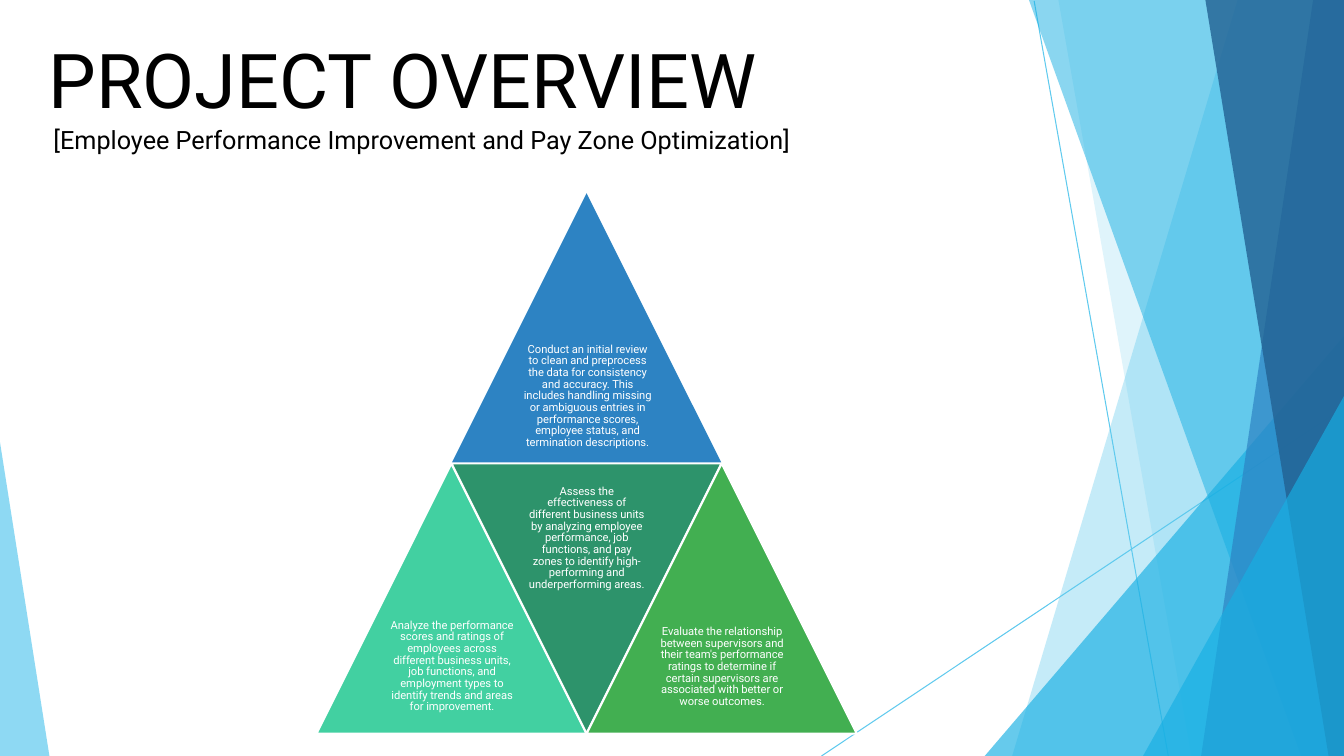
from dataclasses import dataclass

import lxml.etree
import pptx
import pptx.dml.color
import pptx.enum.shapes
import pptx.enum.text
import pptx.oxml
import pptx.oxml.ns
import pptx.util

Pt = pptx.util.Pt
Point = tuple[float, float]


@dataclass(frozen=True)
class Theme:
    font: str = "Roboto"
    title_size: float = 54
    subtitle_size: float = 18
    body_size: float = 8
    ink: str = "000000"
    white: str = "FFFFFF"
    sky: str = "5FCAEE"
    cyan: str = "17AFE3"
    blue: str = "2D83C3"
    navy: str = "226192"
    mint: str = "42D0A1"
    teal: str = "2D936B"
    green: str = "42AF51"


@dataclass(frozen=True)
class Polygon:
    corners: list[Point]
    color: str
    opacity: int = 100
    outline: str | None = None


@dataclass(frozen=True)
class Line:
    start: Point
    end: Point


@dataclass(frozen=True)
class Paragraph:
    text: str
    size: float
    color: str
    line_spacing: float | pptx.util.Length
    space_before: float = 0
    indent: float = 0
    tracking: float = 0
    align: pptx.enum.text.PP_ALIGN = pptx.enum.text.PP_ALIGN.LEFT


@dataclass(frozen=True)
class Step:
    left: float
    top: float
    width: float
    height: float
    text: str


THEME = Theme()
WIDTH, HEIGHT = 960, 540

# Background ribbons, back to front
RAYS = [Line((738.7, 0.7), (834.5, HEIGHT)), Line((WIDTH, 290.9), (586.8, HEIGHT))]


def ribbon(top_x: float, bottom_x: float, color: str, opacity: int, top: float = 0) -> Polygon:
    """A band reaching from a slanted left edge to the right slide edge."""
    corners = [(WIDTH, top), (top_x, top), (bottom_x, HEIGHT), (WIDTH, HEIGHT)]
    return Polygon(corners, color, opacity)


RIBBONS = [
    ribbon(884, 723, THEME.sky, 36),
    ribbon(756, 851, THEME.sky, 20),
    ribbon(WIDTH, 703.4, THEME.cyan, 66, top=240),
    ribbon(735, 929.5, THEME.cyan, 50),
    ribbon(938, 858, THEME.blue, 70),
    ribbon(861, 949, THEME.navy, 80),
    ribbon(WIDTH, 816.5, THEME.cyan, 66, top=283),
    Polygon([(0, 316), (0, HEIGHT), (35.3, HEIGHT)], THEME.sky, 70),
]

# Pyramid of four equal triangles
CENTER, APEX, SIDE = 419, 138, 193


def triangle(x: float, tip: float, base: float, color: str, outline: str | None) -> Polygon:
    corners = [(x, tip), (x - SIDE / 2, base), (x + SIDE / 2, base)]
    return Polygon(corners, color, outline=outline)


MIDDLE, BOTTOM = APEX + SIDE, APEX + 2 * SIDE
PYRAMID = [
    triangle(CENTER, APEX, MIDDLE, THEME.blue, None),
    triangle(CENTER - SIDE / 2, MIDDLE, BOTTOM, THEME.mint, THEME.white),
    triangle(CENTER, BOTTOM, MIDDLE, THEME.teal, THEME.white),
    triangle(CENTER + SIDE / 2, MIDDLE, BOTTOM, THEME.green, THEME.white),
]

STEPS = [
    Step(373, 243.4, 93.6, 82,
         "Conduct an initial review to clean and preprocess the data for consistency and accuracy. "
         "This includes handling missing or ambiguous entries in performance scores, employee "
         "status, and termination descriptions."),
    Step(276.5, 440.6, 92.9, 71,
         "Analyze the performance scores and ratings of employees across different business units, "
         "job functions, and employment types to identify trends and areas for improvement."),
    Step(376, 344.8, 86.4, 82,
         "Assess the effectiveness of different business units by analyzing employee performance, "
         "job functions, and pay zones to identify high- performing and underperforming areas."),
    Step(469.4, 445, 92.9, 62,
         "Evaluate the relationship between supervisors and their team's performance ratings to "
         "determine if certain supervisors are associated with better or worse outcomes."),
]

TITLE = [
    Paragraph("PROJECT OVERVIEW", THEME.title_size, THEME.ink, Pt(64.8), 1.1, indent=10.8),
    Paragraph("[Employee Performance Improvement and Pay Zone Optimization]",
              THEME.subtitle_size, THEME.ink, Pt(21.6), indent=14.4),
]


def rgb(color: str) -> pptx.dml.color.RGBColor:
    return pptx.dml.color.RGBColor.from_string(color)


def draw_polygon(shapes, polygon: Polygon) -> None:
    corners = [(Pt(x), Pt(y)) for x, y in polygon.corners]
    builder = shapes.build_freeform(*corners[0], scale=1.0)
    builder.add_line_segments(corners[1:], close=True)
    shape = builder.convert_to_shape()
    shape.shadow.inherit = False
    shape.fill.solid()
    shape.fill.fore_color.rgb = rgb(polygon.color)
    if polygon.opacity < 100:
        color = shape.fill._xPr.find(".//" + pptx.oxml.ns.qn("a:srgbClr"))
        alpha = lxml.etree.SubElement(color, pptx.oxml.ns.qn("a:alpha"))
        alpha.set("val", str(polygon.opacity * 1000))
    if polygon.outline:
        shape.line.color.rgb = rgb(polygon.outline)
        shape.line.width = Pt(1.5)
    else:
        shape.line.fill.background()


def draw_line(shapes, line: Line) -> None:
    ends = [Pt(value) for value in line.start + line.end]
    ray = shapes.add_connector(pptx.enum.shapes.MSO_CONNECTOR.STRAIGHT, *ends)
    ray.line.color.rgb = rgb(THEME.sky)
    ray.line.width = Pt(0.75)
    lxml.etree.SubElement(ray._element.spPr, pptx.oxml.ns.qn("a:effectLst"))


def draw_text(shapes, left: float, top: float, width: float, height: float,
              inset: float, paragraphs: list[Paragraph]) -> None:
    frame = shapes.add_textbox(Pt(left), Pt(top), Pt(width), Pt(height)).text_frame
    frame.word_wrap = True
    frame.margin_left = frame.margin_right = frame.margin_bottom = 0
    frame.margin_top = Pt(inset)
    frame.text = "\n".join(item.text for item in paragraphs)
    for paragraph, item in zip(frame.paragraphs, paragraphs):
        paragraph.alignment = item.align
        paragraph.line_spacing = item.line_spacing
        paragraph.space_before = Pt(item.space_before)
        paragraph._p.get_or_add_pPr().set("marL", str(Pt(item.indent)))
        for run in paragraph.runs:
            run.font.name = THEME.font
            run.font.size = Pt(item.size)
            run.font.color.rgb = rgb(item.color)
            run._r.get_or_add_rPr().set("spc", str(round(item.tracking * 100)))


def main() -> None:
    deck = pptx.Presentation()
    deck.slide_width, deck.slide_height = Pt(WIDTH), Pt(HEIGHT)
    shapes = deck.slides.add_slide(deck.slide_layouts[6]).shapes

    # Background
    for ray in RAYS:
        draw_line(shapes, ray)
    for band in RIBBONS:
        draw_polygon(shapes, band)

    # Heading
    draw_text(shapes, 23.8, 19.4, 634.3, 149, 4.3, TITLE)

    # Pyramid and its steps
    for part in PYRAMID:
        draw_polygon(shapes, part)
    for step in STEPS:
        body = Paragraph(step.text, THEME.body_size, THEME.white, 0.87, 2.5, tracking=-0.05,
                         align=pptx.enum.text.PP_ALIGN.CENTER)
        draw_text(shapes, step.left, step.top, step.width, step.height, 2.2, [body])

    deck.save("out.pptx")


if __name__ == "__main__":
    main()
